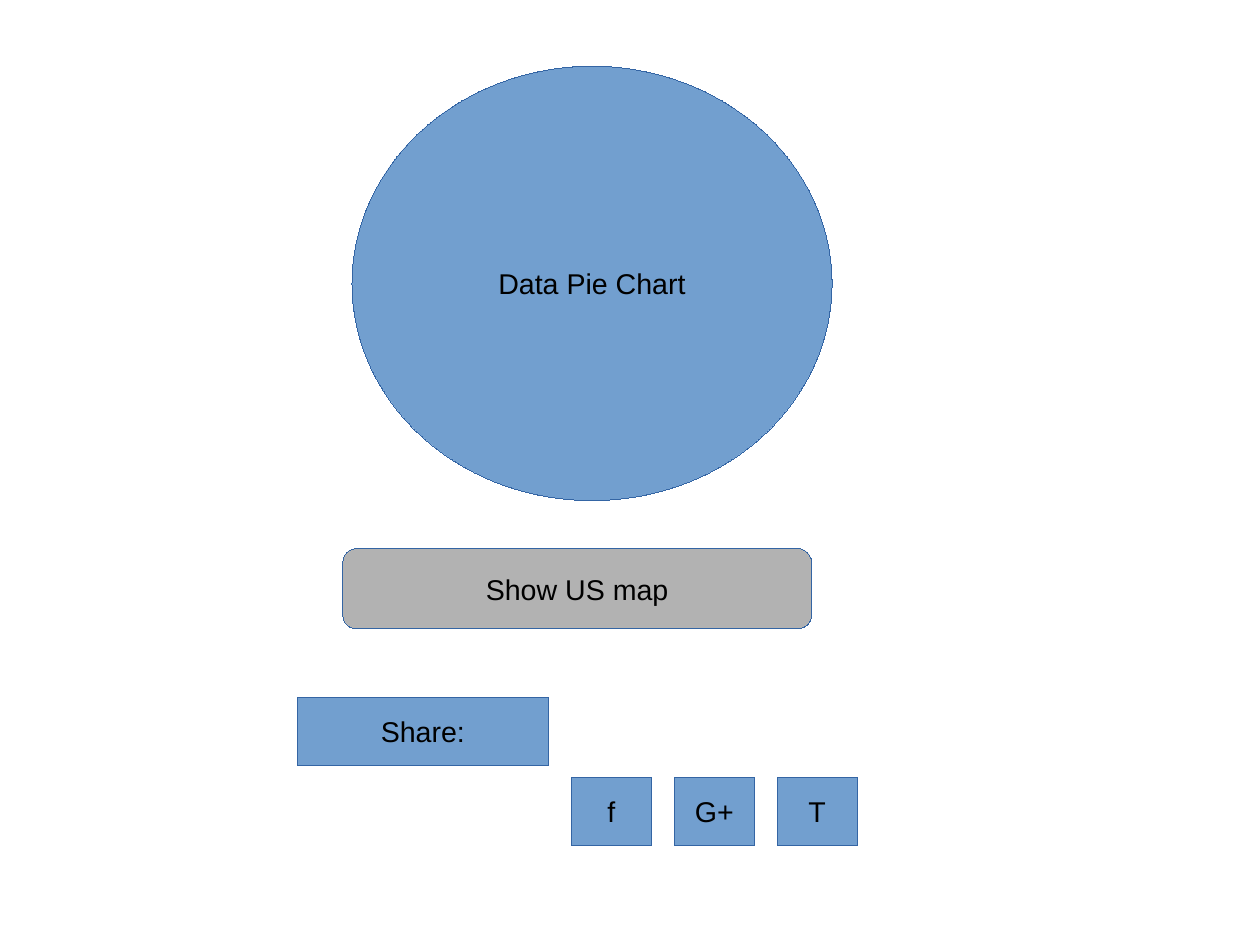
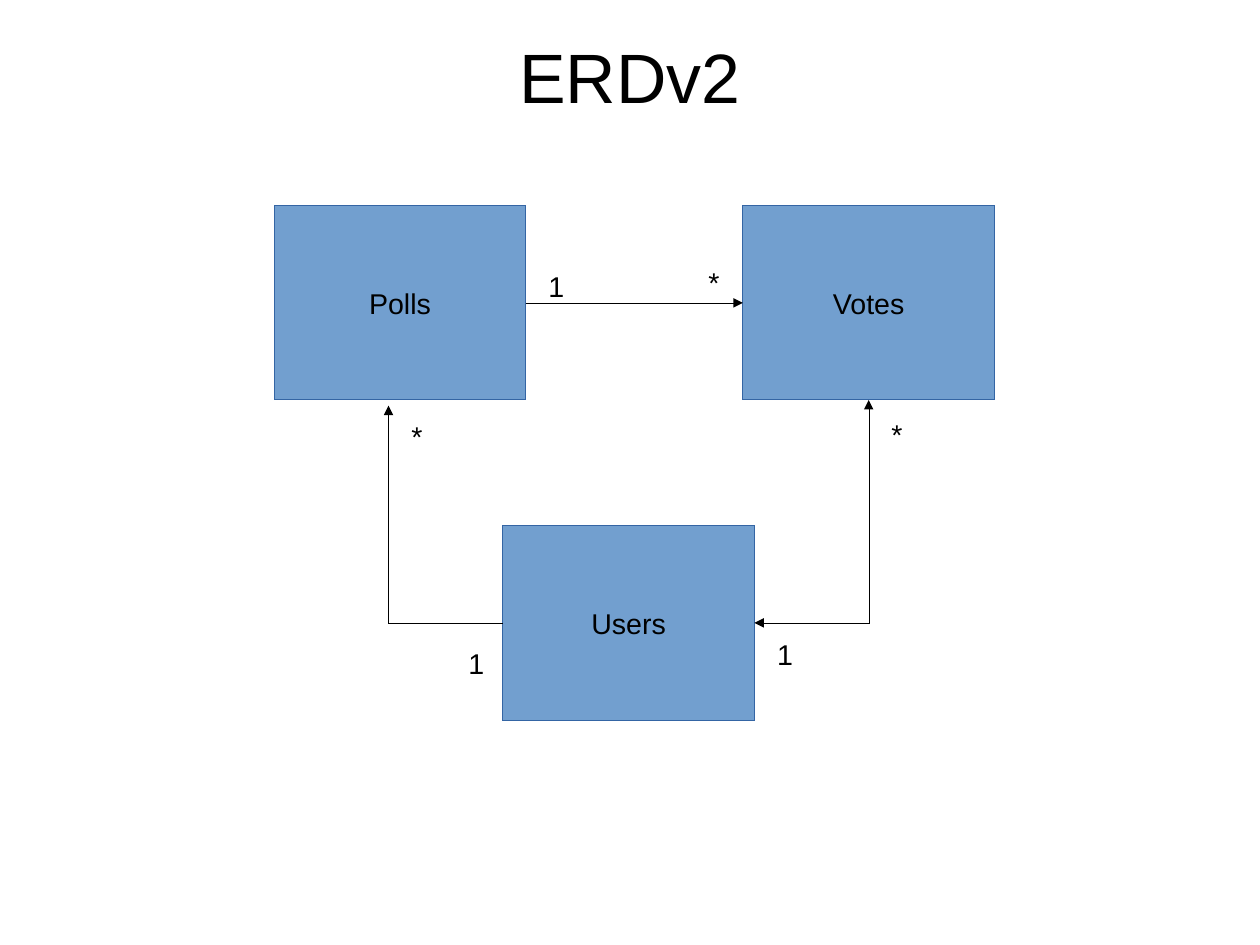
from pptx import Presentation
from pptx.dml.color import RGBColor
from pptx.enum.shapes import MSO_CONNECTOR, MSO_SHAPE
from pptx.enum.text import MSO_ANCHOR, PP_ALIGN
from pptx.oxml.ns import qn
from pptx.util import Cm, Emu, Pt
from lxml.etree import SubElement

PX = 9144  # 100 px to the inch
FONT = "Arial"
BLUE, EDGE, GRAY, BLACK = "729FCF", "3465A4", "B2B2B2", "000000"
TOP, LEFT, BOTTOM, RIGHT = range(4)  # connection sites of a rectangle


def px(*lengths):
    return [Emu(n * PX) for n in lengths]


def paint(color_format, color):
    color_format.rgb = RGBColor.from_string(color)


def draw_hairline(sp, color):
    """Give sp the thinnest line; python-pptx drops a width of 0, so set it in XML."""
    paint(sp.line.color, color)
    ln = sp.element.spPr.find(qn("a:ln"))
    ln.set("w", "0")
    return ln


def write(tf, text, size=18, align=PP_ALIGN.CENTER):
    p = tf.paragraphs[0]
    p.alignment = align
    r = p.add_run()
    r.text = text
    r.font.size = Pt(size)
    r.font.name = FONT
    paint(r.font.color, BLACK)


def add_box(slide, text, x, y, w, h, kind=MSO_SHAPE.RECTANGLE, fill=BLUE):
    sp = slide.shapes.add_shape(kind, *px(x, y, w, h))
    sp.shadow.inherit = False
    sp.fill.solid()
    paint(sp.fill.fore_color, fill)
    draw_hairline(sp, EDGE)
    tf = sp.text_frame
    tf.word_wrap = False
    tf.vertical_anchor = MSO_ANCHOR.MIDDLE
    write(tf, text)
    return sp


def add_title(slide, text):
    tf = slide.shapes.add_textbox(*px(55, 32, 992, 69)).text_frame
    tf.word_wrap = True
    tf.vertical_anchor = MSO_ANCHOR.MIDDLE
    tf.margin_left = tf.margin_top = tf.margin_right = tf.margin_bottom = 0
    write(tf, text, size=44)


def add_label(slide, text, x, y):
    tf = slide.shapes.add_textbox(*px(x, y, 30, 38)).text_frame
    tf.word_wrap = True
    write(tf, text, align=PP_ALIGN.LEFT)


def add_link(slide, start, end, kind=MSO_CONNECTOR.ELBOW, arrows=("tailEnd",)):
    """Join start (shape, site) to end, which is (shape, site) or a point (x, y)."""
    shapes = slide.shapes
    if isinstance(end[0], int):
        x, y = px(*end)
        cxn = shapes.add_connector(kind, x, y, x, y)
    else:
        cxn = shapes.add_connector(kind, 0, 0, 0, 0)
        cxn.end_connect(*end)
    cxn.begin_connect(*start)
    ln = draw_hairline(cxn, BLACK)
    for arrow in arrows:
        SubElement(ln, qn(f"a:{arrow}"), type="triangle")
    sp_pr = cxn.element.spPr
    if kind == MSO_CONNECTOR.ELBOW:
        sp_pr.find(qn("a:prstGeom")).set("prst", "bentConnector2")
    SubElement(sp_pr, qn("a:effectLst"))


def build_results(slide):
    add_box(slide, "Data Pie Chart", 308, 58, 420, 380, MSO_SHAPE.OVAL)
    for i, text in enumerate(("f", "G+", "T")):
        add_box(slide, text, 500 + 90 * i, 680, 70, 60)
    add_box(slide, "Share:", 260, 610, 220, 60)
    add_box(slide, "Show US map", 300, 480, 410, 70,
            MSO_SHAPE.ROUNDED_RECTANGLE, GRAY)


def build_erd(slide):
    add_title(slide, "ERDv2")
    users, polls, votes = (
        add_box(slide, text, x, y, 220, 170)
        for text, x, y in (("Users", 440, 460), ("Polls", 240, 180),
                           ("Votes", 650, 180)))
    add_link(slide, (polls, RIGHT), (votes, LEFT), MSO_CONNECTOR.STRAIGHT)
    add_link(slide, (users, LEFT), (340, 355))
    add_link(slide, (users, RIGHT), (votes, BOTTOM),
             arrows=("headEnd", "tailEnd"))
    for text, x, y in (("1", 400, 560), ("*", 350, 362), ("1", 470, 230),
                       ("*", 610, 227), ("*", 770, 360), ("1", 670, 552)):
        add_label(slide, text, x, y)


def main():
    prs = Presentation()
    prs.slide_width, prs.slide_height = Cm(28), Cm(21)
    for build in (build_results, build_erd):
        build(prs.slides.add_slide(prs.slide_layouts[6]))
    prs.save("out.pptx")


if __name__ == "__main__":
    main()
